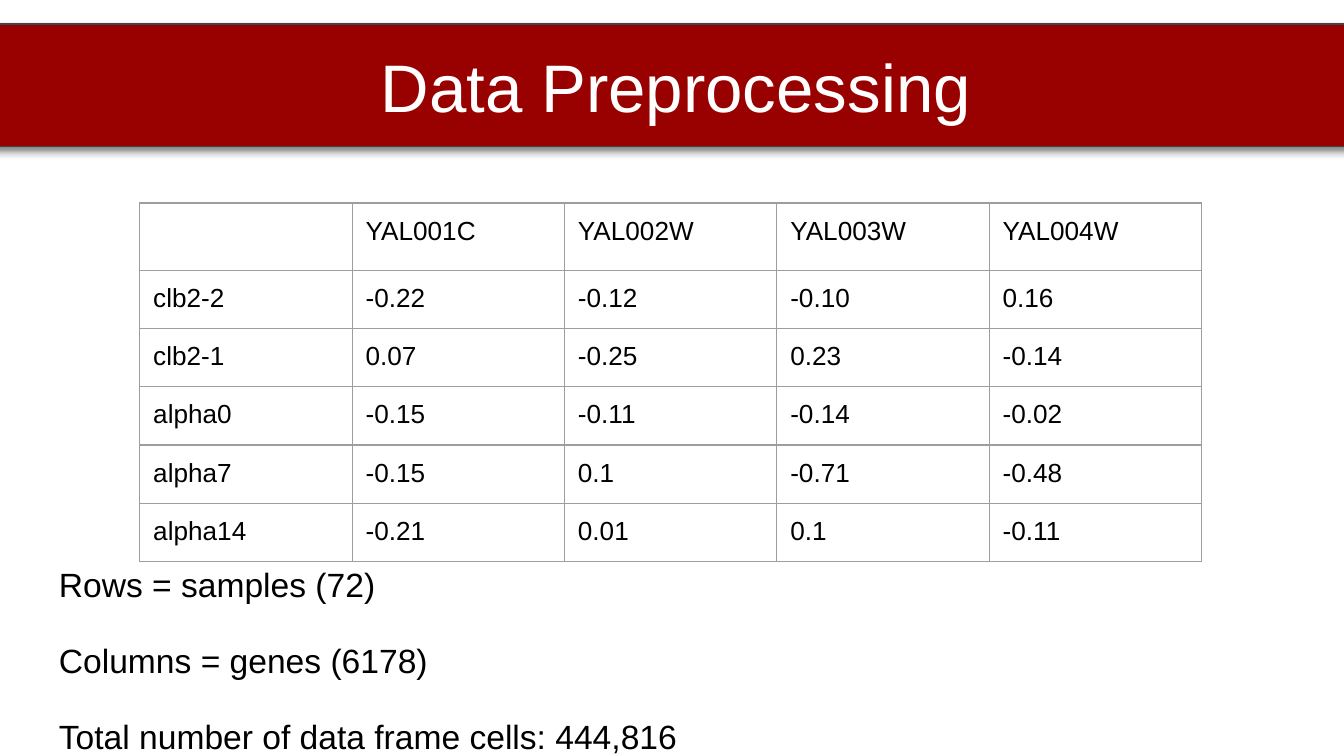
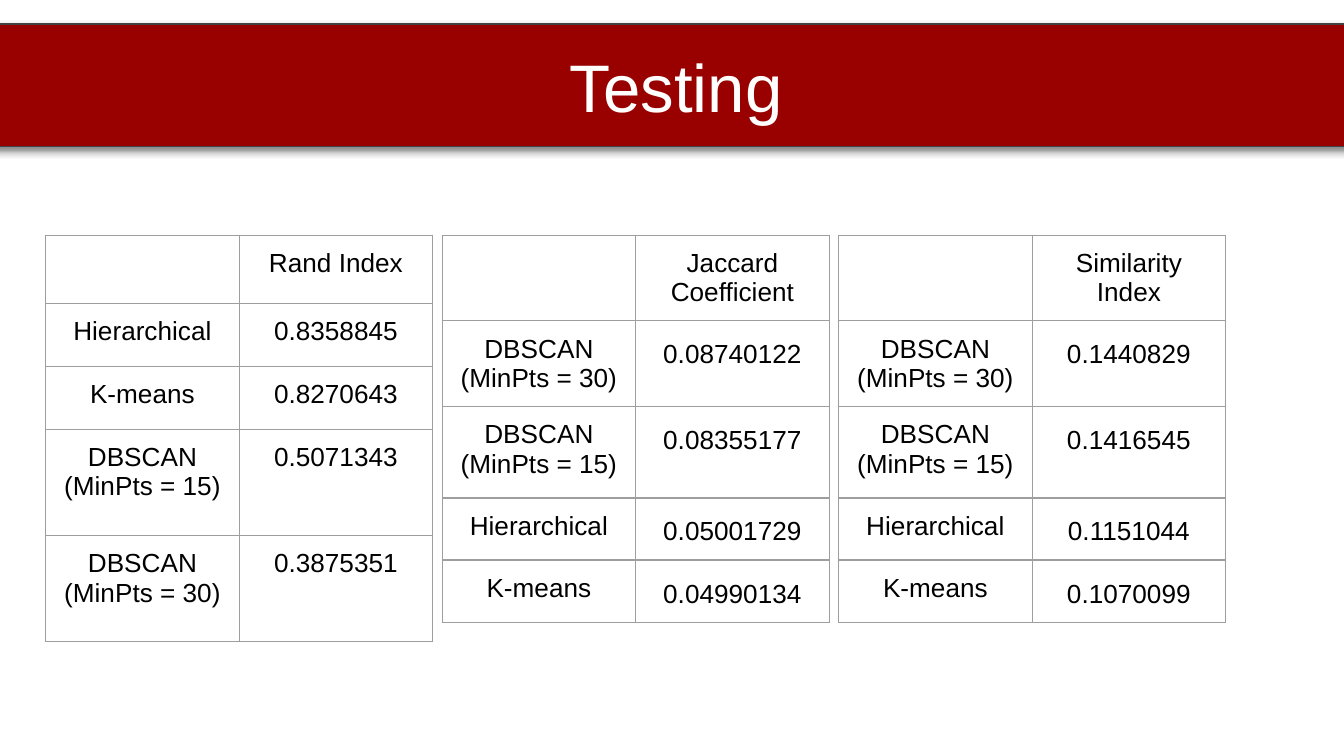
from lxml import etree
from pptx import Presentation
from pptx.dml.color import RGBColor
from pptx.enum.text import MSO_ANCHOR, MSO_AUTO_SIZE, PP_ALIGN
from pptx.oxml import parse_xml
from pptx.oxml.ns import nsdecls, qn
from pptx.util import Inches, Pt

LEFT, CENTER = PP_ALIGN.LEFT, PP_ALIGN.CENTER
TOP, MIDDLE = MSO_ANCHOR.TOP, MSO_ANCHOR.MIDDLE
TITLE_ONLY = 5

FONT = "Arial"
RED, DARK_GRAY, GRAY = "990000", "434343", "9E9E9E"
BLACK, WHITE = "000000", "FFFFFF"
INSET = 0.1

EXPRESSION_ROWS = [
    ("", "YAL001C", "YAL002W", "YAL003W", "YAL004W"),
    ("clb2-2", "-0.22", "-0.12", "-0.10", "0.16"),
    ("clb2-1", "0.07", "-0.25", "0.23", "-0.14"),
    ("alpha0", "-0.15", "-0.11", "-0.14", "-0.02"),
    ("alpha7", "-0.15", "0.1", "-0.71", "-0.48"),
    ("alpha14", "-0.21", "0.01", "0.1", "-0.11"),
]
DATA_FACTS = [
    "Rows = samples (72)",
    "Columns = genes (6178)",
    "Total number of data frame cells: 444,816",
]

DBSCAN_15, DBSCAN_30 = "DBSCAN (MinPts = 15)", "DBSCAN (MinPts = 30)"
RAND_HEIGHTS = [0.47, 0.47, 0.47, 0.79, 0.79]
OVERLAP_HEIGHTS = [0.61, 0.61, 0.68, 0.44, 0.44]
# Each score table: rows, row heights, line spacing of the values
SCORE_TABLES = [
    ([("", "Rand Index"), ("Hierarchical", "0.8358845"),
      ("K-means", "0.8270643"), (DBSCAN_15, "0.5071343"),
      (DBSCAN_30, "0.3875351")], RAND_HEIGHTS, 1.0),
    ([("", "Jaccard Coefficient"), (DBSCAN_30, "0.08740122"),
      (DBSCAN_15, "0.08355177"), ("Hierarchical", "0.05001729"),
      ("K-means", "0.04990134")], OVERLAP_HEIGHTS, 1.2),
    ([("", "Similarity Index"), (DBSCAN_30, "0.1440829"),
      (DBSCAN_15, "0.1416545"), ("Hierarchical", "0.1151044"),
      ("K-means", "0.1070099")], OVERLAP_HEIGHTS, 1.2),
]
SCORE_LEFT, SCORE_TOP, SCORE_COLUMN, SCORE_GAP = 0.34, 1.75, 1.44, 0.07


def color(hex_value):
    return RGBColor.from_string(hex_value)


def write(frame, lines, size=14, fill=BLACK, align=LEFT, spacing=1.0, before=0):
    """Write one paragraph per line, with space before all but the first."""
    for index, line in enumerate(lines):
        paragraph = frame.paragraphs[0] if index == 0 else frame.add_paragraph()
        paragraph.text = line
        paragraph.alignment = align
        paragraph.line_spacing = spacing
        paragraph.space_before = Pt(before if index else 0)
        paragraph.font.name = FONT
        paragraph.font.size = Pt(size)
        paragraph.font.color.rgb = color(fill)


def set_insets(holder):
    holder.margin_left = holder.margin_right = Inches(INSET)
    holder.margin_top = holder.margin_bottom = Inches(INSET)


def add_titled_slide(presentation, title):
    """Add a slide whose title placeholder is the shadowed red band."""
    slide = presentation.slides.add_slide(presentation.slide_layouts[TITLE_ONLY])
    band = slide.shapes.title
    band.left, band.top = Inches(-0.27), Inches(0.18)
    band.width, band.height = Inches(10.6), Inches(0.91)
    properties = band.element.spPr
    properties.append(parse_xml(
        f'<a:prstGeom {nsdecls("a")} prst="roundRect"><a:avLst/></a:prstGeom>'))
    band.fill.solid()
    band.fill.fore_color.rgb = color(RED)
    band.line.color.rgb = color(DARK_GRAY)
    band.line.width = Pt(0.75)
    properties.append(parse_xml(
        f'<a:effectLst {nsdecls("a")}><a:outerShdw blurRad="{Pt(4.5)}" '
        f'dist="{Pt(1.5)}" dir="5400000" algn="bl" rotWithShape="0">'
        f'<a:srgbClr val="{BLACK}"><a:alpha val="50000"/></a:srgbClr>'
        '</a:outerShdw></a:effectLst>'))
    frame = band.text_frame
    frame.auto_size = MSO_AUTO_SIZE.NONE
    frame.word_wrap = True
    frame.vertical_anchor = MIDDLE
    set_insets(frame)
    write(frame, [title], size=36, fill=WHITE, align=CENTER)
    return slide


def add_borders(cell):
    properties = cell._tc.get_or_add_tcPr()
    for side in ("lnL", "lnR", "lnT", "lnB"):
        line = etree.SubElement(properties, qn(f"a:{side}"), w=str(Pt(0.75)))
        solid = etree.SubElement(line, qn("a:solidFill"))
        etree.SubElement(solid, qn("a:srgbClr"), val=GRAY)


def add_grid(slide, rows, left, top, column_width, heights, align=LEFT,
             value_spacing=1.0):
    """Add a plain bordered table; value_spacing applies below the header."""
    column_count = len(rows[0])
    table = slide.shapes.add_table(
        len(rows), column_count, Inches(left), Inches(top),
        Inches(column_width * column_count), Inches(sum(heights))).table
    table.first_row = table.horz_banding = False
    for column in table.columns:
        column.width = Inches(column_width)
    for row_index, values in enumerate(rows):
        table.rows[row_index].height = Inches(heights[row_index])
        for column_index, value in enumerate(values):
            cell = table.cell(row_index, column_index)
            add_borders(cell)
            cell.fill.background()
            cell.vertical_anchor = TOP
            set_insets(cell)
            is_value = row_index > 0 and column_index > 0
            if value:
                write(cell.text_frame, [value], align=align,
                      spacing=value_spacing if is_value else 1.0)


def build_preprocessing(presentation):
    slide = add_titled_slide(presentation, "Data Preprocessing")
    box = slide.shapes.add_textbox(
        Inches(0.34), Inches(4.05), Inches(9.32), Inches(1.57))
    box.text_frame.word_wrap = True
    set_insets(box.text_frame)
    write(box.text_frame, DATA_FACTS, size=18, spacing=1.15, before=16)
    heights = [0.42] * len(EXPRESSION_ROWS)
    add_grid(slide, EXPRESSION_ROWS, 1.04, 1.51, 1.58, heights)


def build_testing(presentation):
    slide = add_titled_slide(presentation, "Testing")
    step = 2 * SCORE_COLUMN + SCORE_GAP
    for index, (rows, heights, spacing) in enumerate(SCORE_TABLES):
        add_grid(slide, rows, SCORE_LEFT + index * step, SCORE_TOP, SCORE_COLUMN,
                 heights, align=CENTER, value_spacing=spacing)


def main():
    presentation = Presentation()
    presentation.slide_width = Inches(10)
    presentation.slide_height = presentation.slide_width * 9 // 16
    build_preprocessing(presentation)
    build_testing(presentation)
    presentation.save("out.pptx")


if __name__ == "__main__":
    main()
